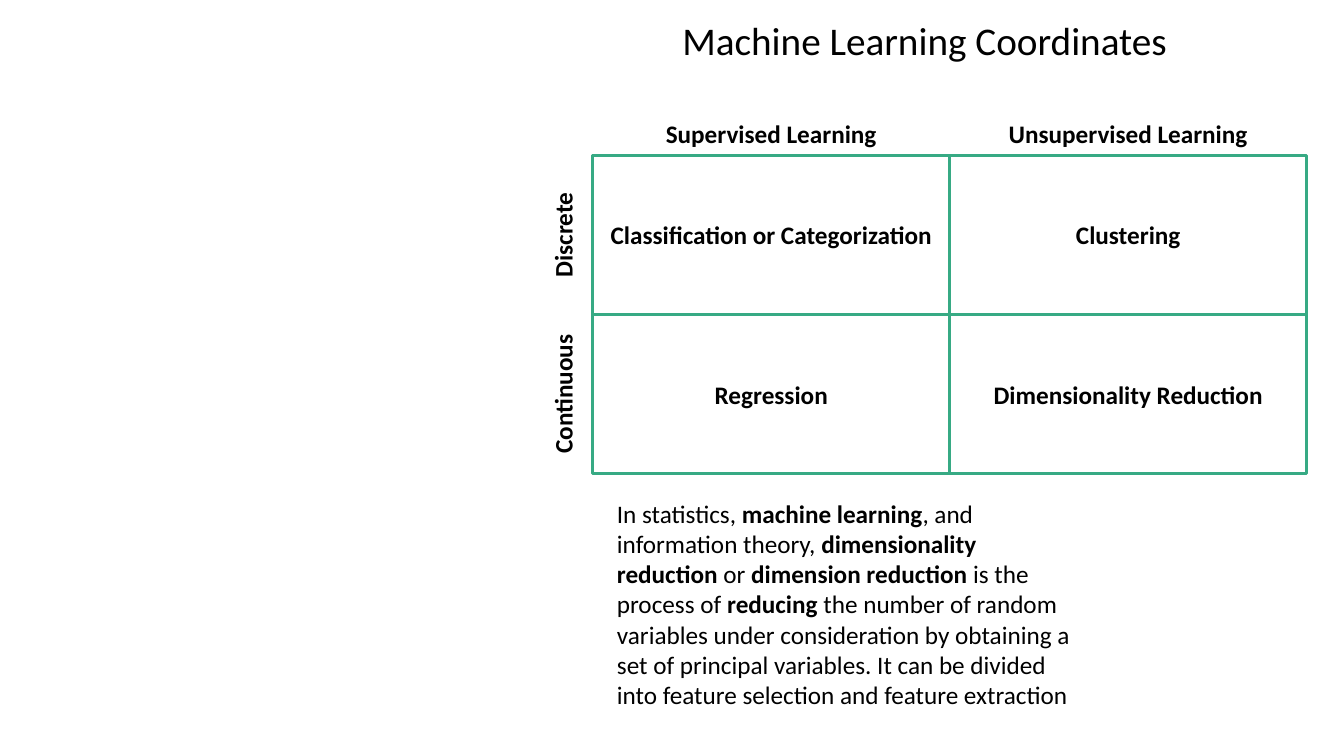
from dataclasses import dataclass

from pptx import Presentation
from pptx.dml.color import RGBColor
from pptx.enum.shapes import MSO_SHAPE as Preset
from pptx.enum.text import MSO_ANCHOR as Anchor, PP_ALIGN as Align
from pptx.shapes.autoshape import Shape
from pptx.slide import Slide
from pptx.text.text import Font
from pptx.util import Emu, Pt

SCALE = 9144  # EMU per px, 100 px to the inch
COLORS = {"text": "000000", "fill": "FFFFFF", "line": "37AA84"}
FONT = "Calibri"

LEFT, TOP = 588, 154
CELL_W, CELL_H = 354, 158
LABEL_H = 40
COLS = ["Supervised Learning", "Unsupervised Learning"]
ROWS = ["Discrete", "Continuous"]
CELLS = [
    ["Classification or Categorization", "Clustering"],
    ["Regression", "Dimensionality Reduction"],
]
# Every second piece is bold
NOTE = [
    "In statistics, ", "machine learning",
    ", and information theory, ", "dimensionality reduction ",
    "or ", "dimension reduction",
    " is the process of ", "reducing",
    " the number of random variables under consideration by obtaining a set of "
    "principal variables. It can be divided into feature selection and feature extraction",
]


@dataclass(frozen=True)
class Box:
    x: int
    y: int
    w: int
    h: int

    def emu(self) -> tuple[Emu, ...]:
        return tuple(Emu(n * SCALE) for n in (self.x, self.y, self.w, self.h))


@dataclass(frozen=True)
class Label:
    text: str
    box: Box
    turn: int = 0


def color(name: str) -> RGBColor:
    return RGBColor.from_string(COLORS[name])


def style(font: Font, size: int, bold: bool) -> None:
    font.name, font.size, font.bold = FONT, Pt(size), bold
    font.color.rgb = color("text")


def write(shape: Shape, text: str, size: int = 18, bold: bool = True) -> None:
    """Put one centred line of text in the shape."""
    frame = shape.text_frame
    frame.word_wrap = True
    frame.text = text
    para = frame.paragraphs[0]
    para.alignment = Align.CENTER
    style(para.runs[0].font, size, bold)


def add_title(slide: Slide) -> None:
    title = slide.shapes.title
    title.left, title.top, title.width, title.height = Box(538, 16, 758, 61).emu()
    write(title, "Machine Learning Coordinates", 28, False)
    title.text_frame.vertical_anchor = Anchor.TOP
    title.text_frame.paragraphs[0].line_spacing = 0.9


def add_cell(slide: Slide, cell: Label) -> None:
    shape = slide.shapes.add_shape(Preset.FLOWCHART_PROCESS, *cell.box.emu())
    shape.shadow.inherit = False
    shape.fill.solid()
    shape.fill.fore_color.rgb = color("fill")
    shape.line.color.rgb = color("line")
    shape.line.width = Pt(2.25)
    write(shape, cell.text)
    shape.text_frame.vertical_anchor = Anchor.MIDDLE


def add_label(slide: Slide, label: Label) -> None:
    shape = slide.shapes.add_textbox(*label.box.emu())
    shape.rotation = label.turn
    write(shape, label.text)


def add_note(slide: Slide) -> None:
    frame = slide.shapes.add_textbox(*Box(602, 489, 479, 222).emu()).text_frame
    frame.word_wrap = True
    para = frame.paragraphs[0]
    for i, text in enumerate(NOTE):
        run = para.add_run()
        run.text = text
        style(run.font, 18, i % 2 == 1)


def main() -> None:
    deck = Presentation()
    deck.slide_width, deck.slide_height = Emu(1333 * SCALE), Emu(750 * SCALE)
    slide = deck.slides.add_slide(deck.slide_layouts[5])
    add_title(slide)

    for r, row in enumerate(CELLS):
        for c, text in enumerate(row):
            box = Box(LEFT + c * CELL_W, TOP + r * CELL_H, CELL_W, CELL_H)
            add_cell(slide, Label(text, box))

    heads = [Label(text, Box(LEFT + c * CELL_W, 112, CELL_W, LABEL_H))
             for c, text in enumerate(COLS)]
    sides = [Label(text, Box(479, 213 + r * CELL_H, CELL_H, LABEL_H), 270)
             for r, text in enumerate(ROWS)]
    for label in heads + sides:
        add_label(slide, label)

    add_note(slide)
    deck.save("out.pptx")


if __name__ == "__main__":
    main()
